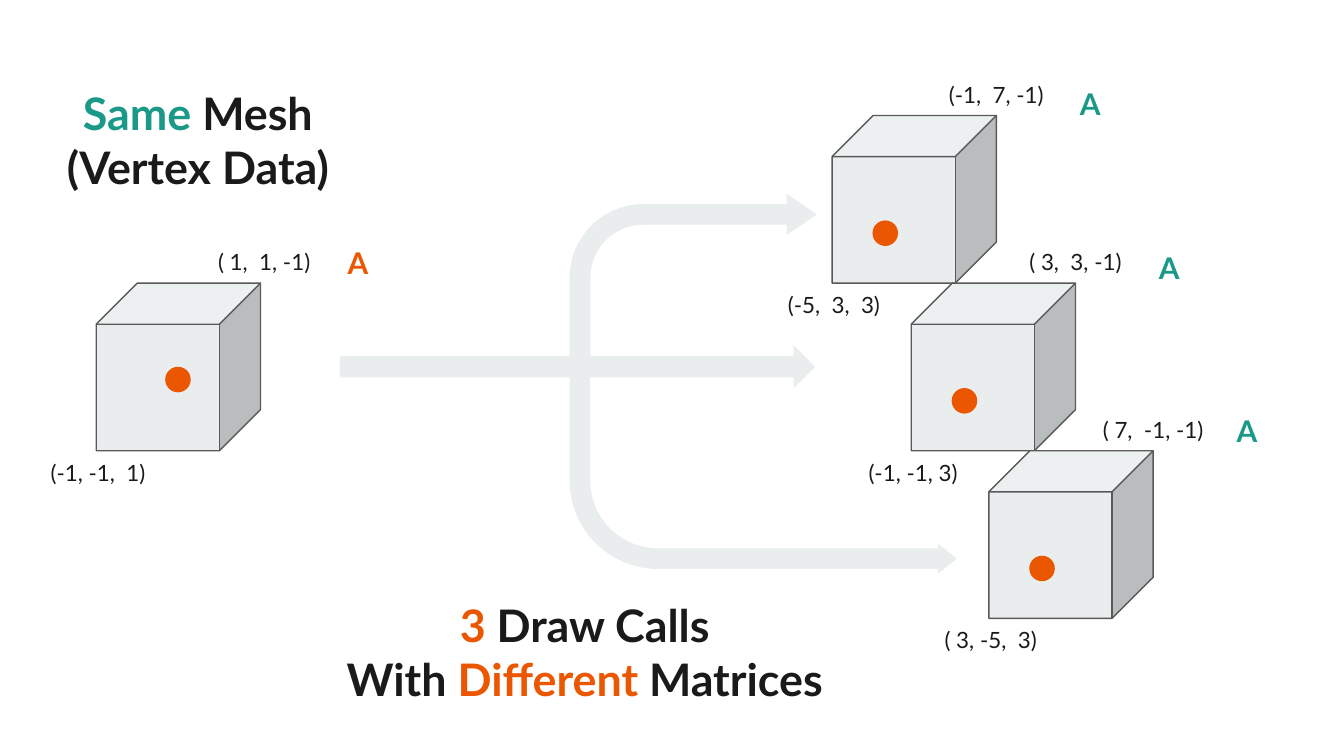
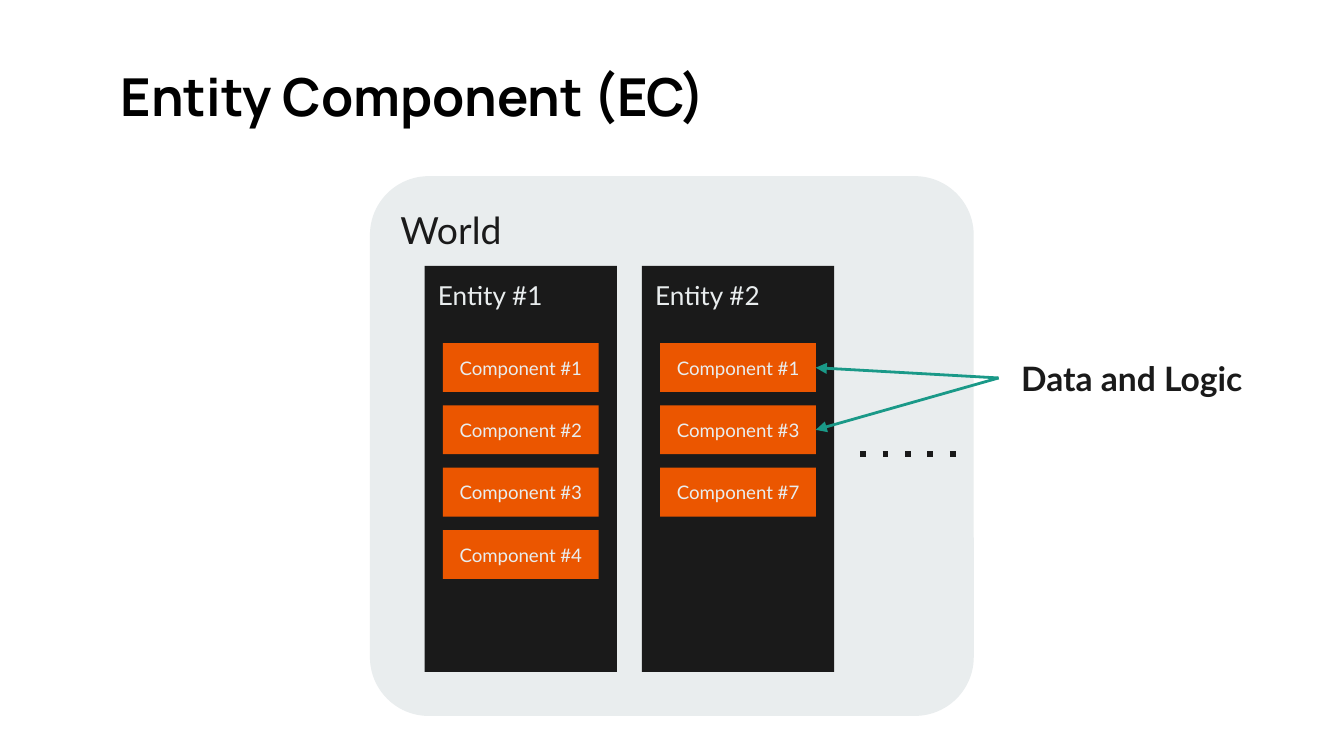
from lxml.etree import SubElement
from pptx import Presentation
from pptx.dml.color import RGBColor
from pptx.enum.shapes import MSO_CONNECTOR, MSO_SHAPE
from pptx.enum.text import MSO_ANCHOR, PP_ALIGN
from pptx.oxml.ns import qn
from pptx.util import Pt

COLORS = {
    "ink": "1A1A1A",
    "mist": "E9EDEE",
    "orange": "EB5600",
    "teal": "1A9988",
    "outline": "595959",
    "black": "000000",
}
INSET = 7.2


def color(name):
    return RGBColor.from_string(COLORS[name])


def write_text(shape, lines, size=12, fill="ink", font="Lato", bold=False,
               align=PP_ALIGN.CENTER, anchor=MSO_ANCHOR.TOP):
    """Each line is a string or a list of (text, colour name) runs."""
    frame = shape.text_frame
    frame.word_wrap = True
    frame.vertical_anchor = anchor
    frame.margin_left = frame.margin_right = Pt(INSET)
    frame.margin_top = frame.margin_bottom = Pt(INSET)
    for index, line in enumerate([lines] if isinstance(lines, str) else lines):
        paragraph = frame.add_paragraph() if index else frame.paragraphs[0]
        paragraph.alignment = align
        for text, run_fill in [(line, fill)] if isinstance(line, str) else line:
            run = paragraph.add_run()
            run.text = text
            run.font.name = font
            run.font.size = Pt(size)
            run.font.bold = bold
            run.font.color.rgb = color(run_fill)


class Deck:
    def __init__(self, width, height):
        self.presentation = Presentation()
        self.presentation.slide_width = Pt(width)
        self.presentation.slide_height = Pt(height)
        self.slide = None

    def new_slide(self):
        blank = self.presentation.slide_layouts[6]
        self.slide = self.presentation.slides.add_slide(blank)

    def text(self, left, top, width, height, lines, **style):
        box = self.slide.shapes.add_textbox(Pt(left), Pt(top), Pt(width), Pt(height))
        write_text(box, lines, **style)

    def title(self, text):
        self.text(57.6, 27.4, 605.5, 42.5, text, size=28, fill="black",
                  font="Manrope", bold=True, align=PP_ALIGN.LEFT)

    def shape(self, kind, left, top, width, height, fill="mist", line=None,
              adjustments=(), lines=None, **style):
        shape = self.slide.shapes.add_shape(kind, Pt(left), Pt(top), Pt(width), Pt(height))
        shape.shadow.inherit = False
        shape.fill.solid()
        shape.fill.fore_color.rgb = color(fill)
        if line:
            shape.line.color.rgb = color(line)
            shape.line.width = Pt(0.75)
        else:
            shape.line.fill.background()
        for index, value in enumerate(adjustments):
            shape.adjustments[index] = value
        if lines:
            write_text(shape, lines, **style)
        return shape

    def line(self, start, end, fill, width, dash=None, arrow=None):
        points = [Pt(value) for value in (*start, *end)]
        connector = self.slide.shapes.add_connector(MSO_CONNECTOR.STRAIGHT, *points)
        connector.line.color.rgb = color(fill)
        connector.line.width = Pt(width)
        properties = connector._element.spPr
        outline = properties.find(qn("a:ln"))
        if dash:
            SubElement(outline, qn("a:prstDash"), val=dash)
        if arrow:
            SubElement(outline, qn("a:tailEnd"), type=arrow)
        SubElement(properties, qn("a:effectLst"))

    def cube(self, left, top, near, far, marker_top, dot=(21.6, 56.2),
             marker_fill="teal", label_width=132.5, shift=0):
        """Cube with its two corner coordinates, centre dot and marker A."""
        width, height, label_height = 88, 89.8, 23
        self.shape(MSO_SHAPE.CUBE, left, top, width, height,
                   line="outline", adjustments=[0.25])
        for text, center, label_top in (
            (near, left + 1, top + height),
            (far, left + width + shift, top - label_height),
        ):
            self.text(center - label_width / 2, label_top, label_width,
                      label_height, text, anchor=MSO_ANCHOR.MIDDLE)
        self.shape(MSO_SHAPE.OVAL, left + dot[0], top + dot[1], 13.7, 13.7, fill="orange")
        self.text(left + 122 + shift, marker_top, 32.4, 32.4, "A",
                  size=16, fill=marker_fill, bold=True)

    def entity(self, left, name, components):
        """Dark column holding a stack of component boxes."""
        width, box_width, box_height, step = 103, 83.5, 26.2, 33.4
        self.shape(MSO_SHAPE.RECTANGLE, left, 142.4, width, 217.6, fill="ink",
                   lines=name, size=14, align=PP_ALIGN.LEFT, **{})
        for row, number in enumerate(components):
            box = self.shape(MSO_SHAPE.RECTANGLE, left + (width - box_width) / 2,
                             183.8 + row * step, box_width, box_height, fill="orange")
            write_text(box, f"Component #{number}", size=10, fill="mist")


def build_mesh_slide(deck):
    deck.new_slide()

    # Arrows from the single mesh to the three instances
    deck.shape(MSO_SHAPE.RIGHT_ARROW, 182, 185, 254.7, 23, adjustments=[0.5, 0.5])
    deck.shape(MSO_SHAPE.BENT_ARROW, 305.2, 103.8, 132.4, 90,
               adjustments=[0.123, 0.123, 0.18, 0.438])
    lower = deck.shape(MSO_SHAPE.BENT_ARROW, 305.2, 199.4, 207.4, 108,
                       adjustments=[0.102, 0.075, 0.094, 0.438])
    lower.rotation = 180
    lower._element.spPr.xfrm.set("flipH", "1")

    # Source mesh and its instances
    deck.cube(51.6, 151.7, "(-1, -1,  1)", "( 1,  1, -1)", 123.8, dot=(36.9, 44.8),
              marker_fill="orange", label_width=67.7, shift=2)
    instances = [
        (445.8, "(-5,  3,  3)", "(-1,  7, -1)", 38.9),
        (488.2, "(-1, -1, 3)", "( 3,  3, -1)", 126.7),
        (529.8, "( 3, -5,  3)", "( 7,  -1, -1)", 213.8),
    ]
    for row, (left, near, far, marker_top) in enumerate(instances):
        deck.cube(left, 61.9 + row * 89.8, near, far, marker_top)

    # Captions
    deck.text(25, 38.9, 162, 76.3,
              [[("Same ", "teal"), ("Mesh", "ink")], "(Vertex Data)"],
              size=24, bold=True)
    deck.text(168.5, 313.2, 289.4, 76.3,
              [[("3 ", "orange"), ("Draw Calls", "ink")],
               [("With ", "ink"), ("Different ", "orange"), ("Matrices", "ink")]],
              size=24, bold=True)


def build_entity_slide(deck):
    deck.new_slide()
    deck.title("Entity Component (EC)")

    # World with its entities
    world = deck.shape(MSO_SHAPE.ROUNDED_RECTANGLE, 198.2, 94.4, 323.5, 289.2,
                       adjustments=[0.109])
    write_text(world, "World", size=20, align=PP_ALIGN.LEFT)
    for column, components in enumerate([(1, 2, 3, 4), (1, 3, 7)]):
        deck.entity(227.5 + column * 116.4, [[(f"Entity #{column + 1}", "mist")]], components)
    deck.line((460.8, 243.4), (512, 243.4), "ink", 3, dash="dot")

    # Note pointing at two components
    deck.text(535, 187.9, 142.6, 29.5, "Data and Logic", size=18, bold=True,
              anchor=MSO_ANCHOR.MIDDLE)
    for target in (230.3, 197):
        deck.line((535, 202.5), (437, target), "teal", 1.5, arrow="triangle")


def main():
    deck = Deck(720, 405)
    build_mesh_slide(deck)
    build_entity_slide(deck)
    deck.presentation.save("out.pptx")


if __name__ == "__main__":
    main()
